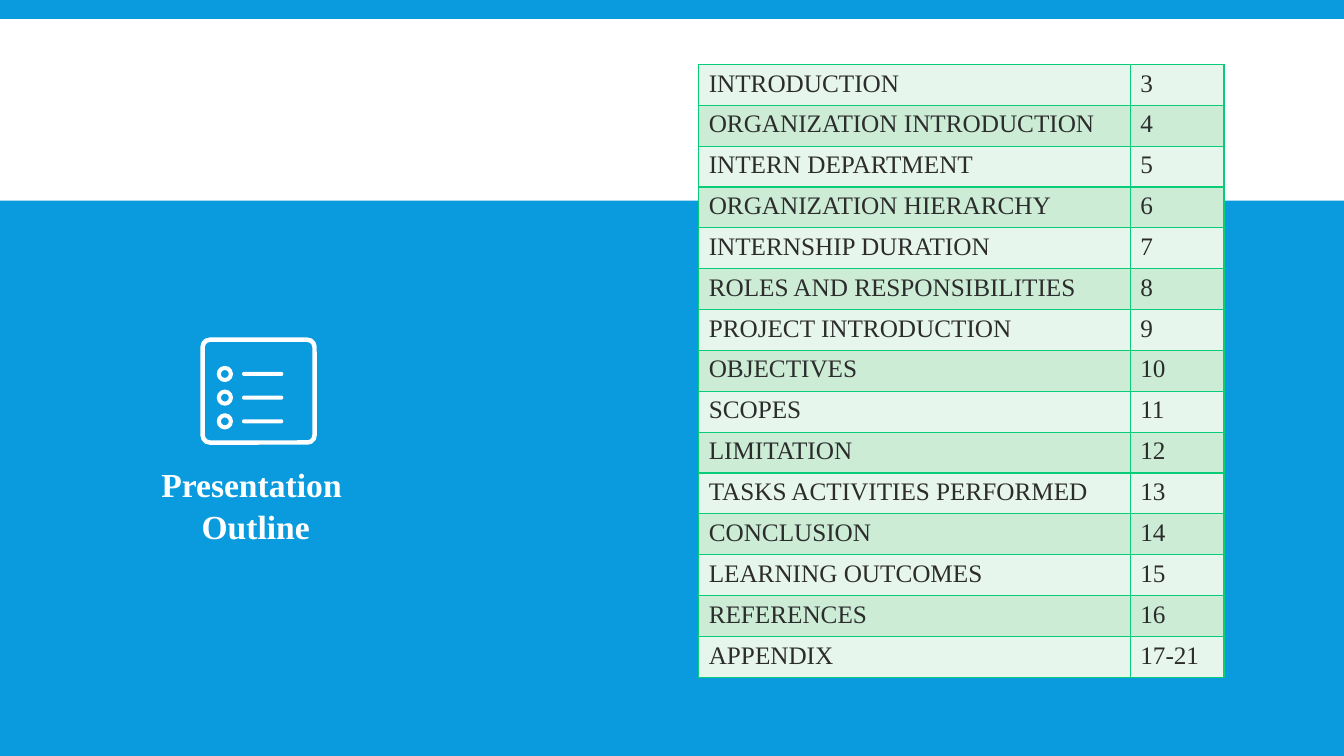
from lxml import etree
from pptx import Presentation
from pptx.dml.color import RGBColor
from pptx.enum.shapes import MSO_SHAPE
from pptx.enum.text import MSO_ANCHOR, MSO_AUTO_SIZE, PP_ALIGN
from pptx.oxml.ns import qn
from pptx.util import Inches, Pt

RECT, ROUNDED, OVAL = MSO_SHAPE.RECTANGLE, MSO_SHAPE.ROUNDED_RECTANGLE, MSO_SHAPE.OVAL

TITLE_LINES = ["Presentation", " Outline"]
SECTIONS = [
    [("INTRODUCTION", "3"), ("ORGANIZATION INTRODUCTION", "4"),
     ("INTERN DEPARTMENT", "5"), ("ORGANIZATION HIERARCHY", "6"),
     ("INTERNSHIP DURATION", "7"), ("ROLES AND RESPONSIBILITIES", "8"),
     ("PROJECT INTRODUCTION", "9"), ("OBJECTIVES", "10")],
    [("SCOPES", "11"), ("LIMITATION", "12"), ("TASKS ACTIVITIES PERFORMED", "13"),
     ("CONCLUSION", "14"), ("LEARNING OUTCOMES", "15"), ("REFERENCES", "16")],
    [("APPENDIX", "17-21")],
]


class Theme:
    font = "Times New Roman"
    title_size, table_size = Pt(24), Pt(18)
    blue, white, ink = "099BDD", "FFFFFF", "2C2C2C"
    border, bands = "08CC78", ("E7F6EC", "CCECD6")


TABLE_LEFT, TABLE_TOP, TABLE_HEIGHT = 6.93, 0.64, 6.08
COLUMNS = (4.28, 0.93)
ROW_HEIGHT = TABLE_HEIGHT / sum(len(rows) for rows in SECTIONS)
ICON_ROWS, ICON_TOP, ICON_PITCH = 3, 3.71, 0.235


def rgb(color):
    return RGBColor.from_string(color)


def set_font(p, size, color, bold=False):
    p.font.name, p.font.size, p.font.bold = Theme.font, size, bold
    p.font.color.rgb = rgb(color)


def add_white(shapes, kind, left, top, width, height, outline=None):
    """Add a solid white shape, or a hollow one when an outline width is given."""
    s = shapes.add_shape(kind, Inches(left), Inches(top), Inches(width), Inches(height))
    s.shadow.inherit = False
    if outline:
        s.fill.background()
        s.line.color.rgb = rgb(Theme.white)
        s.line.width = Pt(outline)
    else:
        s.fill.solid()
        s.fill.fore_color.rgb = rgb(Theme.white)
        s.line.fill.background()
    return s


def add_list_icon(slide):
    shapes = slide.shapes.add_group_shape().shapes
    frame = add_white(shapes, ROUNDED, 2.01, 3.37, 1.11, 1.02, outline=3.2)
    frame.adjustments[0] = 0.07
    for i in range(ICON_ROWS):
        middle = ICON_TOP + i * ICON_PITCH
        add_white(shapes, OVAL, 2.17, middle - 0.06, 0.12, 0.12, outline=2.9)
        bar = add_white(shapes, ROUNDED, 2.4, middle - 0.02, 0.41, 0.04)
        bar.adjustments[0] = 0.5


def add_title(slide):
    s = slide.shapes.title
    s.left, s.top, s.width, s.height = (Inches(v) for v in (0.53, 4.6, 3.93, 0.81))
    tf = s.text_frame
    tf.margin_left = tf.margin_right = tf.margin_top = tf.margin_bottom = 0
    tf.word_wrap, tf.auto_size = True, MSO_AUTO_SIZE.NONE
    tf.vertical_anchor = MSO_ANCHOR.MIDDLE
    tf.text = "\n".join(TITLE_LINES)
    for p in tf.paragraphs:
        p.alignment, p.line_spacing = PP_ALIGN.CENTER, 1.04
        set_font(p, Theme.title_size, Theme.white, bold=True)


def add_borders(cell):
    """Draw all four sides; they must precede the fill in the cell's XML."""
    tc_pr = cell._tc.get_or_add_tcPr()
    for i, side in enumerate(("lnL", "lnR", "lnT", "lnB")):
        ln = etree.Element(qn(f"a:{side}"), w=str(Pt(1)))
        fill = etree.SubElement(ln, qn("a:solidFill"))
        etree.SubElement(fill, qn("a:srgbClr"), val=Theme.border)
        tc_pr.insert(i, ln)


def add_section(slide, rows, top):
    frame = slide.shapes.add_table(
        len(rows), len(COLUMNS), Inches(TABLE_LEFT), Inches(top),
        Inches(sum(COLUMNS)), Inches(ROW_HEIGHT * len(rows)))
    table = frame.table
    for column, width in zip(table.columns, COLUMNS):
        column.width = Inches(width)
    for r, row in enumerate(rows):
        table.rows[r].height = Inches(ROW_HEIGHT)
        for c, text in enumerate(row):
            cell = table.cell(r, c)
            cell.text = text
            set_font(cell.text_frame.paragraphs[0], Theme.table_size, Theme.ink)
            cell.fill.solid()
            cell.fill.fore_color.rgb = rgb(Theme.bands[r % 2])
            add_borders(cell)


def main():
    prs = Presentation()
    prs.slide_width, prs.slide_height = Inches(13.33), Inches(7.5)
    slide = prs.slides.add_slide(prs.slide_layouts[5])
    slide.background.fill.solid()
    slide.background.fill.fore_color.rgb = rgb(Theme.blue)

    add_white(slide.shapes, RECT, 0, 0.19, 13.33, 1.8)
    add_list_icon(slide)
    add_title(slide)
    top = TABLE_TOP
    for rows in SECTIONS:
        add_section(slide, rows, top)
        top += ROW_HEIGHT * len(rows)
    prs.save("out.pptx")


if __name__ == "__main__":
    main()
